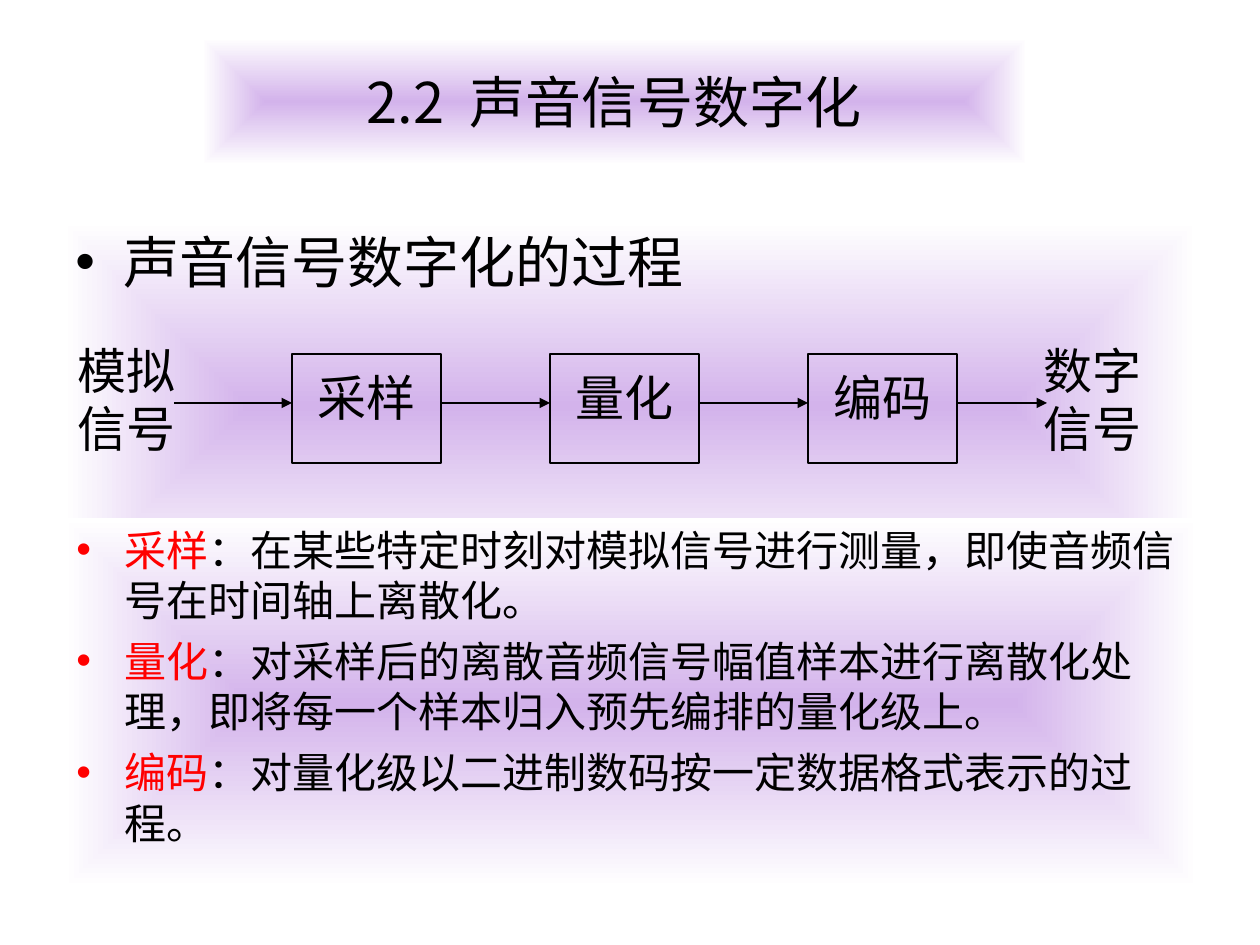
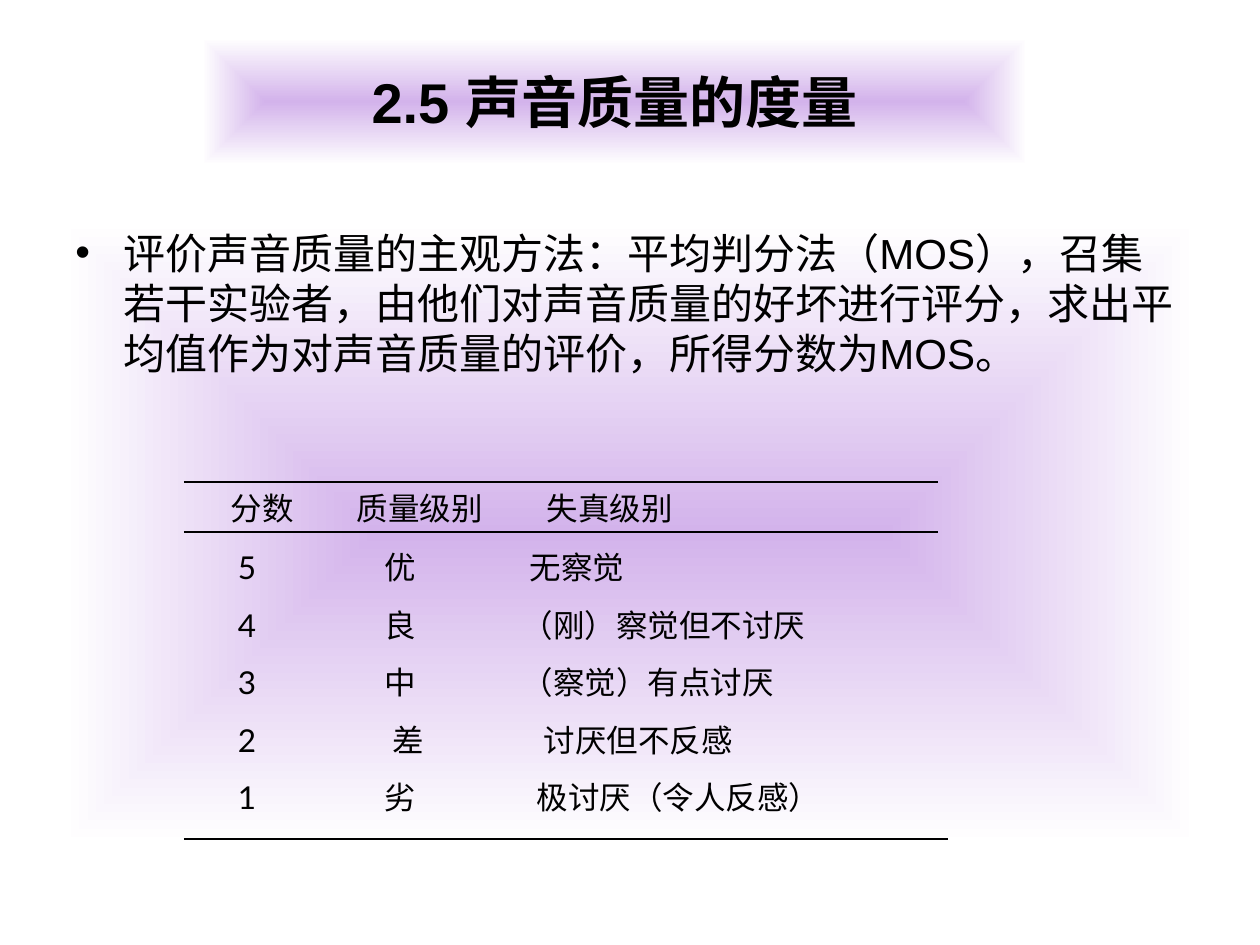
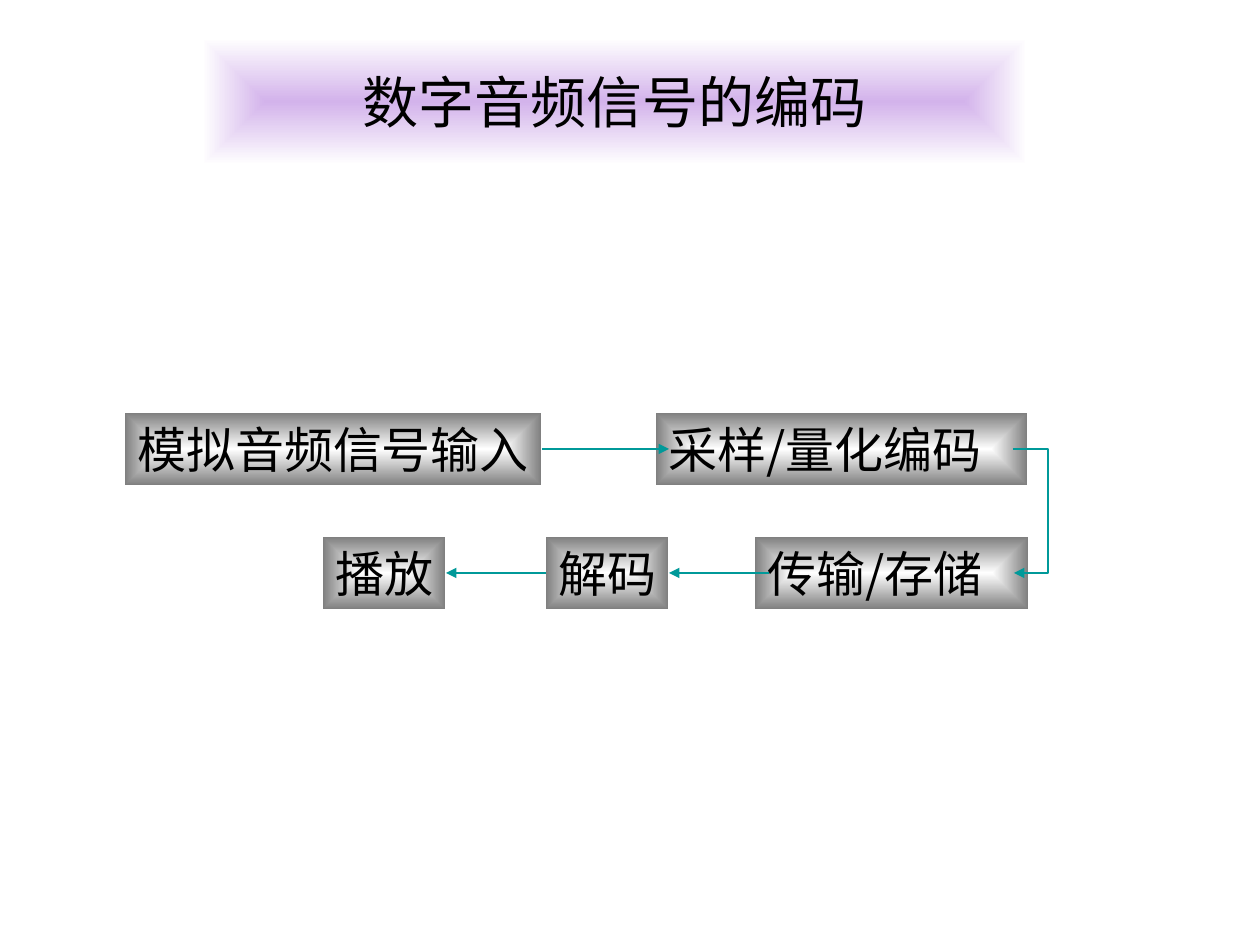
from lxml import etree
from pptx import Presentation
from pptx.dml.color import RGBColor
from pptx.enum.shapes import MSO_CONNECTOR as CONNECTOR, MSO_SHAPE as SHAPE
from pptx.enum.text import MSO_ANCHOR as ANCHOR, PP_ALIGN as ALIGN
from pptx.oxml.ns import qn
from pptx.util import Pt

SCALE = 914400 / 126  # EMU per px
COLORS = {"ink": "000000", "term": "FF0000", "lilac": "D3B3EB",
          "white": "FFFFFF", "gray": "808080", "teal": "009999"}
LILAC_GLOW = ("lilac", "white")
STEEL_GLOW = ("white", "gray")
CJK_FONT = "Noto Sans CJK SC"
NO_GRID_STYLE = "{2D5ABB26-0587-4C30-8999-92F81FD0307C}"
TITLE_BOX = (202, 38, 825, 127)


def add_box(slide, box, paragraphs, size, font="Arial", glow=None, border=None, bold=False,
            bullets=False, wrap=True, align=ALIGN.LEFT, anchor=ANCHOR.TOP, top_inset=6):
    """Add a rectangle; each paragraph is a list of runs, and a first run of two is a red term."""
    shape = slide.shapes.add_shape(SHAPE.RECTANGLE, *[round(value * SCALE) for value in box])
    shape.shadow.inherit = False
    if glow:
        shape.fill.gradient()
        for stop, color in zip(shape.fill.gradient_stops, glow):
            stop.color.rgb = RGBColor.from_string(COLORS[color])
        gradient = shape._element.spPr.find(qn("a:gradFill"))
        gradient.remove(gradient.find(qn("a:lin")))
        center = etree.SubElement(gradient, qn("a:path"), path="rect")
        etree.SubElement(center, qn("a:fillToRect"), l="50000", t="50000", r="50000", b="50000")
    else:
        shape.fill.background()
    if border:
        shape.line.color.rgb = RGBColor.from_string(COLORS[border])
        shape.line.width = Pt(0.75)
    else:
        shape.line.fill.background()

    frame = shape.text_frame
    frame.word_wrap = wrap
    frame.vertical_anchor = anchor
    frame.margin_top = round(top_inset * SCALE)
    for index, runs in enumerate(paragraphs):
        paragraph = frame.add_paragraph() if index else frame.paragraphs[0]
        paragraph.alignment = align
        if index and bullets:
            paragraph.space_before = Pt(6)
        has_term = len(runs) > 1
        if bullets:
            properties = paragraph._p.get_or_add_pPr()
            indent = round(48 * SCALE)
            properties.set("marL", str(indent))
            properties.set("indent", str(-indent))
            properties.set("hangingPunct", "0")
            bullet_color = etree.SubElement(properties, qn("a:buClr"))
            etree.SubElement(bullet_color, qn("a:srgbClr"), val=COLORS["term" if has_term else "ink"])
            etree.SubElement(properties, qn("a:buFont"), typeface="Arial")
            etree.SubElement(properties, qn("a:buChar"), char="•")
        for position, text in enumerate(runs):
            run = paragraph.add_run()
            run.text = text
            run.font.size = Pt(size)
            run.font.name = font
            run.font.bold = bold
            color = "term" if has_term and position == 0 else "ink"
            run.font.color.rgb = RGBColor.from_string(COLORS[color])


def add_line(slide, ends, color, width, kind=CONNECTOR.STRAIGHT, arrow=True):
    connector = slide.shapes.add_connector(kind, *[round(value * SCALE) for value in ends])
    connector.line.color.rgb = RGBColor.from_string(COLORS[color])
    connector.line.width = Pt(width)
    if arrow:
        etree.SubElement(connector.line._get_or_add_ln(), qn("a:tailEnd"), type="triangle")
    etree.SubElement(connector._element.spPr, qn("a:effectLst"))
    return connector


presentation = Presentation()
presentation.slide_width = round(1260 * SCALE)
presentation.slide_height = round(945 * SCALE)

slides = []
for title, font, bold in [("2.2  声音信号数字化", CJK_FONT, False),
                          ("2.5 声音质量的度量", "Arial", True),
                          ("数字音频信号的编码", "Arial", False)]:
    slide = presentation.slides.add_slide(presentation.slide_layouts[6])
    add_box(slide, TITLE_BOX, [[title]], 32, font, LILAC_GLOW, bold=bold,
            align=ALIGN.CENTER, anchor=ANCHOR.MIDDLE)
    slides.append(slide)
process_slide, quality_slide, coding_slide = slides

# Slide 1: steps of digitisation
add_box(process_slide, (63, 221, 1134, 370), [["声音信号数字化的过程"]], 32,
        glow=LILAC_GLOW, bullets=True)
for index, step in enumerate(["采样", "量化", "编码"]):
    add_box(process_slide, (292 + 258 * index, 354, 149, 109), [[step]], 28, "Lato",
            border="ink", align=ALIGN.CENTER, top_inset=14)
for left, right in [(174, 292), (441, 550), (699, 808), (957, 1047)]:
    add_line(process_slide, (left, 403, right, 403), "ink", 0.75)
for left, signal in [(65, "模拟"), (1031, "数字")]:
    add_box(process_slide, (left, 334, 122, 131), [[signal], ["信号"]], 28, "Lato", wrap=False)
add_box(process_slide, (64, 518, 1134, 370), [
    ["采样", "：在某些特定时刻对模拟信号进行测量，即使音频信号在时间轴上离散化。"],
    ["量化", "：对采样后的离散音频信号幅值样本进行离散化处理，即将每一个样本归入预先编排的量化级上。"],
    ["编码", "：对量化级以二进制数码按一定数据格式表示的过程。"],
], 24, glow=LILAC_GLOW, bullets=True)

# Slide 2: opinion score table
add_box(quality_slide, (63, 221, 1134, 624), [[
    "评价声音质量的主观方法：平均判分法（MOS），召集若干实验者，由他们对声音质量的好坏进行评分，"
    "求出平均值作为对声音质量的评价，所得分数为MOS。"]], 24, glow=LILAC_GLOW, bullets=True)
scores = [("分数", "质量级别", "失真级别"),
          ("5", "优", "无察觉"),
          ("4", "良", "（刚）察觉但不讨厌"),
          ("3", "中", "（察觉）有点讨厌"),
          ("2", "差", "讨厌但不反感"),
          ("1", "劣", "极讨厌（令人反感）")]
column_widths = [136, 190, 428]
row_heights = [50, 58, 57, 58, 57, 77]
left_insets = [(47, 37, 37), (54, 65, 20), (54, 65, 12),
               (54, 65, 12), (54, 73, 34), (54, 65, 27)]
header_top_insets, score_top_insets = (2, 2, 2), (16, 11, 11)
table = quality_slide.shapes.add_table(
    len(scores), len(column_widths), round(184 * SCALE), round(482 * SCALE),
    round(sum(column_widths) * SCALE), round(sum(row_heights) * SCALE)).table
table.first_row = False
table.horz_banding = False
table._tbl.tblPr.find(qn("a:tableStyleId")).text = NO_GRID_STYLE
for column, width in zip(table.columns, column_widths):
    column.width = round(width * SCALE)
for row_index, texts in enumerate(scores):
    table.rows[row_index].height = round(row_heights[row_index] * SCALE)
    top_insets = score_top_insets if row_index else header_top_insets
    for column_index, text in enumerate(texts):
        cell = table.cell(row_index, column_index)
        cell.margin_left = round(left_insets[row_index][column_index] * SCALE)
        cell.margin_top = round(top_insets[column_index] * SCALE)
        cell.margin_right = cell.margin_bottom = 0
        cell.fill.background()
        cell.text_frame.text = text
        run = cell.text_frame.paragraphs[0].runs[0]
        run.font.size = Pt(18)
        run.font.name = "Lato"
        run.font.color.rgb = RGBColor.from_string(COLORS["ink"])
for level, right in [(482, 938), (532, 938), (839, 948)]:
    add_line(quality_slide, (184, level, right, level), "ink", 0.75, arrow=False)

# Slide 3: coding chain
for left, top, width, stage in [(125, 413, 416, "模拟音频信号输入"),
                                (656, 413, 371, "采样/量化编码"),
                                (755, 537, 273, "传输/存储"),
                                (546, 537, 122, "解码"),
                                (323, 537, 122, "播放")]:
    add_box(coding_slide, (left, top, width, 72), [[stage]], 28, CJK_FONT, STEEL_GLOW, wrap=False)
for start, end, level in [(542, 669, 449), (769, 669, 573), (546, 446, 573)]:
    add_line(coding_slide, (start, level, end, level), "teal", 1)
turn = add_line(coding_slide, (1013, 449, 1014, 573), "teal", 1, CONNECTOR.ELBOW)
adjustments = turn._element.spPr.find(qn("a:prstGeom")).find(qn("a:avLst"))
etree.SubElement(adjustments, qn("a:gd"), name="adj1", fmla="val 3500000")

presentation.save("out.pptx")
